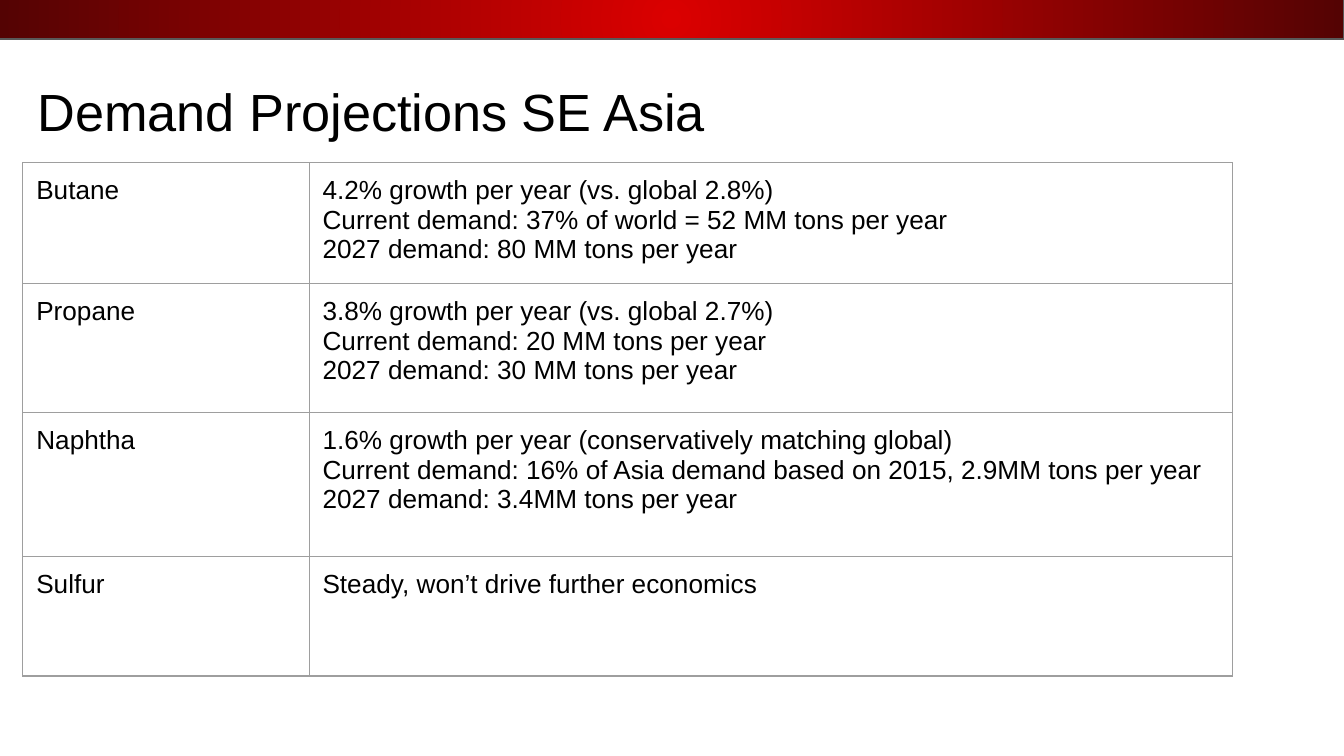
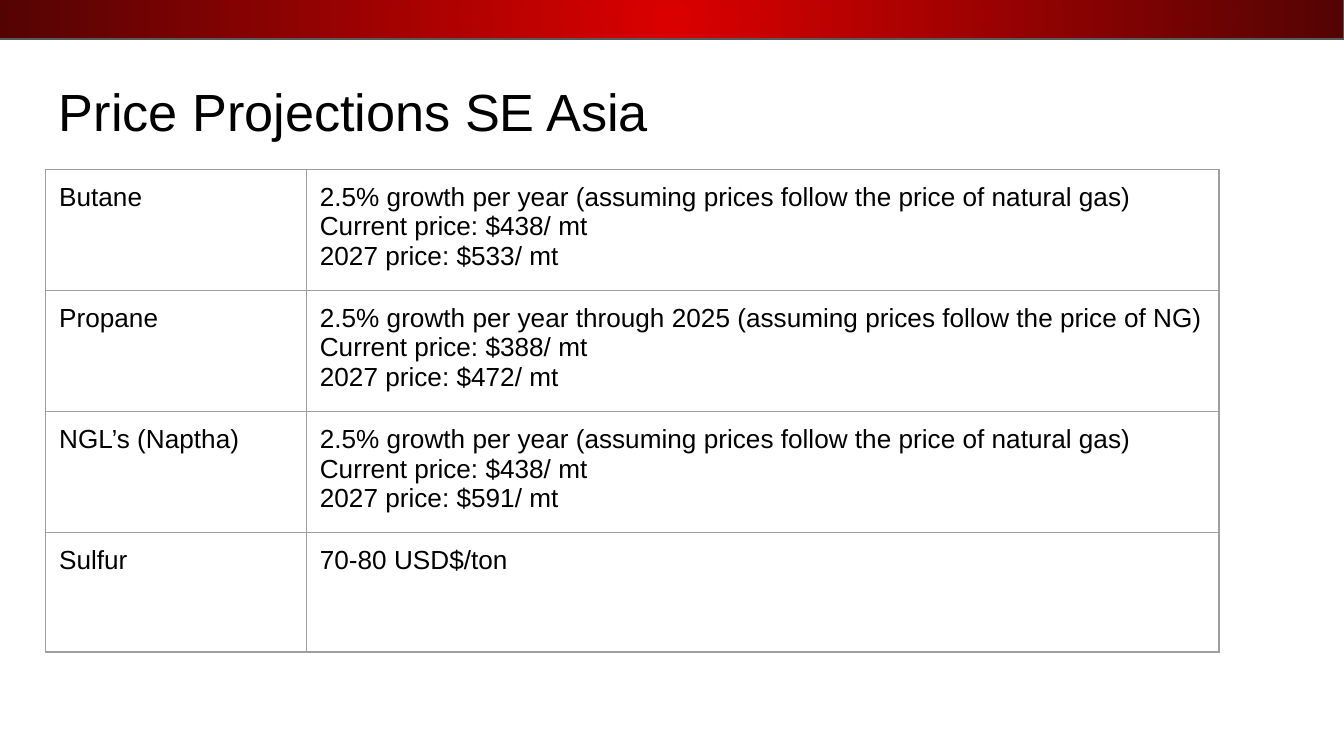
from dataclasses import dataclass

from lxml import etree
from pptx import Presentation
from pptx.dml.color import RGBColor
from pptx.enum.shapes import MSO_SHAPE as Shape
from pptx.enum.text import MSO_ANCHOR as Anchor
from pptx.oxml import parse_xml
from pptx.oxml.ns import nsdecls, qn
from pptx.util import Inches, Pt

# Content
SLIDES = [
    dict(
        title="Demand Projections SE Asia",
        title_left=0.18,
        table_at=(0.17, 1.21),
        columns=(2.13, 6.87),
        rows=(0.9, 0.96, 1.07, 0.89),
        products=[
            ("Butane", ["4.2% growth per year (vs. global 2.8%)",
                        "Current demand: 37% of world = 52 MM tons per year",
                        "2027 demand: 80 MM tons per year"]),
            ("Propane", ["3.8% growth per year (vs. global 2.7%)",
                         "Current demand: 20 MM tons per year",
                         "2027 demand: 30 MM tons per year"]),
            ("Naphtha", ["1.6% growth per year (conservatively matching global)",
                         "Current demand: 16% of Asia demand based on 2015, 2.9MM tons per year",
                         "2027 demand: 3.4MM tons per year"]),
            ("Sulfur", ["Steady, won’t drive further economics"]),
        ],
    ),
    dict(
        title="Price Projections SE Asia",
        title_left=0.34,
        table_at=(0.34, 1.26),
        columns=(1.94, 6.79),
        rows=(0.9, 0.89, 0.89, 0.89),
        products=[
            ("Butane", ["2.5% growth per year (assuming prices follow the price of natural gas)",
                        "Current price: $438/ mt",
                        "2027 price: $533/ mt"]),
            ("Propane", ["2.5% growth per year through 2025 (assuming prices follow the price of NG)",
                         "Current price: $388/ mt",
                         "2027 price: $472/ mt"]),
            ("NGL’s (Naptha)", ["2.5% growth per year (assuming prices follow the price of natural gas)",
                                "Current price: $438/ mt",
                                "2027 price: $591/ mt"]),
            ("Sulfur", ["70-80 USD$/ton"]),
        ],
    ),
]


@dataclass(frozen=True)
class Theme:
    font: str = "Arial"
    text: str = "000000"
    band_center: str = "DB0000"
    band_edge: str = "540303"
    band_line: str = "595959"
    grid: str = "9E9E9E"
    title_size: float = 28
    body_size: float = 14
    line_width: float = 0.75
    inset: float = 0.1


THEME = Theme()


def rgb(color):
    return RGBColor.from_string(color)


def set_insets(box):
    box.margin_left = box.margin_right = Inches(THEME.inset)
    box.margin_top = box.margin_bottom = Inches(THEME.inset)


def write(frame, lines, size=THEME.body_size, color=THEME.text):
    """Fill a text frame with one paragraph per line."""
    for number, line in enumerate(lines):
        paragraph = frame.add_paragraph() if number else frame.paragraphs[0]
        paragraph.text = line
        font = paragraph.runs[0].font
        font.name, font.size = THEME.font, Pt(size)
        font.color.rgb = rgb(color)


def add_band(slide):
    band = slide.shapes.add_shape(Shape.RECTANGLE, Inches(-0.01), Inches(-0.01),
                                  Inches(10.01), Inches(0.3))
    band.shadow.inherit = False
    band.line.color.rgb = rgb(THEME.band_line)
    band.line.width = Pt(THEME.line_width)
    band.fill.gradient()
    for stop, color, position in zip(band.fill.gradient_stops,
                                     (THEME.band_center, THEME.band_edge), (0, 1)):
        stop.color.rgb = rgb(color)
        stop.position = position
    # Radial gradient from the middle
    gradient = band.fill._xPr.find(qn("a:gradFill"))
    gradient.replace(gradient.find(qn("a:lin")), parse_xml(
        f'<a:path {nsdecls("a")} path="circle">'
        '<a:fillToRect l="50000" t="50000" r="50000" b="50000"/></a:path>'))


def add_title(slide, title, left):
    frame = slide.shapes.add_textbox(Inches(left), Inches(0.49),
                                     Inches(9.32), Inches(0.63)).text_frame
    frame.word_wrap = True
    set_insets(frame)
    write(frame, [title], size=THEME.title_size)


def style_cell(cell):
    cell.vertical_anchor = Anchor.TOP
    set_insets(cell)
    properties = cell._tc.get_or_add_tcPr()
    for side in ("lnL", "lnR", "lnT", "lnB"):
        border = etree.SubElement(properties, qn(f"a:{side}"), w=str(Pt(THEME.line_width)))
        solid = etree.SubElement(border, qn("a:solidFill"))
        etree.SubElement(solid, qn("a:srgbClr"), val=THEME.grid)
    cell.fill.background()


def add_projections(slide, products, at, columns, rows):
    left, top = at
    table = slide.shapes.add_table(len(rows), len(columns), Inches(left), Inches(top),
                                   Inches(sum(columns)), Inches(sum(rows))).table
    table.first_row = table.horz_banding = False
    for column, width in zip(table.columns, columns):
        column.width = Inches(width)
    for row, height, (product, outlook) in zip(table.rows, rows, products):
        row.height = Inches(height)
        for cell, lines in zip(row.cells, ([product], outlook)):
            style_cell(cell)
            write(cell.text_frame, lines)


def main():
    deck = Presentation()
    # Widescreen, 16:9
    deck.slide_width = Inches(10)
    deck.slide_height = Inches(10) * 9 // 16
    for content in SLIDES:
        slide = deck.slides.add_slide(deck.slide_layouts[6])
        add_band(slide)
        add_title(slide, content["title"], content["title_left"])
        add_projections(slide, content["products"], content["table_at"],
                        content["columns"], content["rows"])
    deck.save("out.pptx")


if __name__ == "__main__":
    main()
